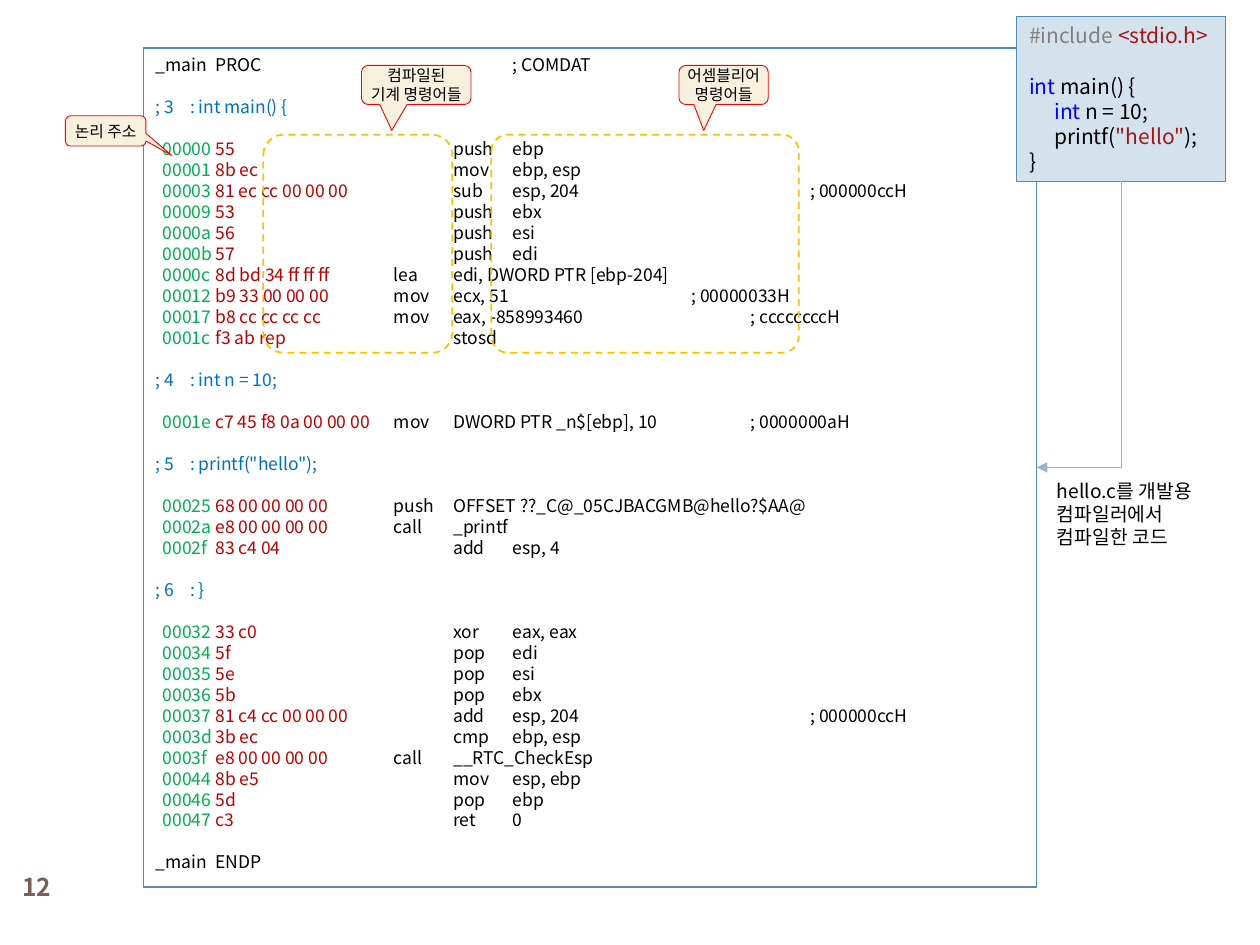
from lxml.etree import SubElement
from pptx import Presentation
from pptx.dml.color import RGBColor as RGB
from pptx.enum.dml import MSO_LINE as DASH
from pptx.enum.shapes import MSO_CONNECTOR as CONN, MSO_SHAPE as SHAPE
from pptx.enum.text import MSO_ANCHOR as ANCHOR, PP_ALIGN as ALIGN
from pptx.oxml.ns import qn
from pptx.util import Pt

FONT = "Noto Sans CJK KR"
COLORS = {
    "black": "000000", "number": "775F55", "border": "558BB8", "comment": "0070C0",
    "address": "00B050", "bytes": "C00000", "frame": "FFC000", "callout": "F7F0DE",
    "callout_line": "FF0000", "source": "D4E2ED", "directive": "808080",
    "string": "A31515", "keyword": "0000FF", "arrow": "94B6D2",
}
TAB = 34
ADDRESS_INDENT = 4
COMMENT_INDENT = 19.5

PROLOGUE = [
    ("00000", "55", 5, "push", "ebp"),
    ("00001", "8b ec", 5, "mov", "ebp, esp"),
    ("00003", "81 ec cc 00 00 00", 5, "sub", "esp, 204", 11, "; 000000ccH"),
    ("00009", "53", 5, "push", "ebx"),
    ("0000a", "56", 5, "push", "esi"),
    ("0000b", "57", 5, "push", "edi"),
    ("0000c", "8d bd 34 ff ff ff", 4, "lea", "edi, DWORD PTR [ebp-204]"),
    ("00012", "b9 33 00 00 00", 4, "mov", "ecx, 51", 9, "; 00000033H"),
    ("00017", "b8 cc cc cc cc", 4, "mov", "eax, -858993460", 10, "; ccccccccH"),
    ("0001c", "f3 ab rep", 5, "stosd"),
]
ASSIGN = [
    ("0001e", "c7 45 f8 0a 00 00 00", 4, "mov", "DWORD PTR _n$[ebp], 10", 10, "; 0000000aH"),
]
PRINT = [
    ("00025", "68 00 00 00 00", 4, "push", "OFFSET ??_C@_05CJBACGMB@hello?$AA@"),
    ("0002a", "e8 00 00 00 00", 4, "call", "_printf"),
    ("0002f", "83 c4 04", 5, "add", "esp, 4"),
]
EPILOGUE = [
    ("00032", "33 c0", 5, "xor", "eax, eax"),
    ("00034", "5f", 5, "pop", "edi"),
    ("00035", "5e", 5, "pop", "esi"),
    ("00036", "5b", 5, "pop", "ebx"),
    ("00037", "81 c4 cc 00 00 00", 5, "add", "esp, 204", 11, "; 000000ccH"),
    ("0003d", "3b ec", 5, "cmp", "ebp, esp"),
    ("0003f", "e8 00 00 00 00", 4, "call", "__RTC_CheckEsp"),
    ("00044", "8b e5", 5, "mov", "esp, ebp"),
    ("00046", "5d", 5, "pop", "ebp"),
    ("00047", "c3", 5, "ret", "0"),
]
SECTIONS = [
    ("3", "int main() {", PROLOGUE),
    ("4", "int n = 10;", ASSIGN),
    ("5", 'printf("hello");', PRINT),
    ("6", "}", EPILOGUE),
]


def color(name):
    return RGB.from_string(COLORS[name])


def add_box(slide, kind, box, line, width, fill=None, dash=None):
    shape = slide.shapes.add_shape(kind, *map(Pt, box))
    shape.shadow.inherit = False
    shape.line.color.rgb = color(line)
    shape.line.width = Pt(width)
    if dash:
        shape.line.dash_style = dash
    if fill:
        shape.fill.solid()
        shape.fill.fore_color.rgb = color(fill)
    else:
        shape.fill.background()
    return shape


def write_line(frame, parts, size, first=False, before=0, after=0, tabs=(),
               align=ALIGN.LEFT, bold=False):
    line = frame.paragraphs[0] if first else frame.add_paragraph()
    line.alignment = align
    line.line_spacing = Pt(size * 1.2)
    line.space_before, line.space_after = Pt(before), Pt(after)
    if tabs:
        stops = SubElement(line._p.get_or_add_pPr(), qn("a:tabLst"))
        for stop in tabs:
            SubElement(stops, qn("a:tab"), pos=str(Pt(stop)), algn="l")
    for text, tint in parts:
        run = line.add_run()
        run.text = text
        run.font.size, run.font.bold, run.font.name = Pt(size), bold, FONT
        run.font.color.rgb = color(tint)
        SubElement(run._r.get_or_add_rPr(), qn("a:ea"), typeface=FONT)


def add_instruction(frame, address, code, column, mnemonic, operands="",
                    note_column=None, note=""):
    columns = [1, column, column + 1] + ([note_column] if note else [])
    assembly = "\t".join(word for word in (mnemonic, operands, note) if word)
    write_line(frame, [("\t" + address + "\t", "address"), (code + "\t", "bytes"),
                       (assembly, "black")], 10,
               tabs=[ADDRESS_INDENT] + [TAB * c for c in columns])


def add_listing(slide, box):
    frame = add_box(slide, SHAPE.RECTANGLE, box, "border", 0.75).text_frame
    frame.word_wrap = True
    frame.vertical_anchor = ANCHOR.TOP
    write_line(frame, [("_main\tPROC\t; COMDAT", "black")], 10, first=True,
               tabs=[TAB, TAB * 6])
    for number, statement, instructions in SECTIONS:
        write_line(frame, [(f"; {number}\t: {statement}", "comment")], 10,
                   before=12, after=12, tabs=[COMMENT_INDENT])
        for instruction in instructions:
            add_instruction(frame, *instruction)
    write_line(frame, [("_main\tENDP", "black")], 10, before=12, tabs=[TAB])


def add_frame(slide, box, radius):
    frame = add_box(slide, SHAPE.ROUNDED_RECTANGLE, box, "frame", 1, dash=DASH.DASH)
    frame.adjustments[0] = radius


def add_callout(slide, box, lines, pointer):
    callout = add_box(slide, SHAPE.ROUNDED_RECTANGULAR_CALLOUT, box,
                      "callout_line", 0.5, "callout")
    callout.adjustments[0], callout.adjustments[1] = pointer
    frame = callout.text_frame
    frame.margin_left = frame.margin_right = frame.margin_top = frame.margin_bottom = 0
    frame.vertical_anchor = ANCHOR.MIDDLE
    for index, text in enumerate(lines):
        write_line(frame, [(text, "black")], 9, first=index == 0, align=ALIGN.CENTER)


def add_source(slide, box):
    frame = add_box(slide, SHAPE.RECTANGLE, box, "border", 0.75, "source").text_frame
    frame.word_wrap = False
    frame.vertical_anchor = ANCHOR.TOP
    write_line(frame, [("#include ", "directive"), ("<stdio.h>", "string")], 12, first=True)
    write_line(frame, [("int", "keyword"), (" main() {", "black")], 12, before=14.4)
    write_line(frame, [("\tint", "keyword"), (" n = 10;", "black")], 12, tabs=[14.4])
    write_line(frame, [("\tprintf(", "black"), ('"hello"', "string"), (");", "black")],
               12, tabs=[14.4])
    write_line(frame, [("}", "black")], 12)


def add_arrow(slide, box):
    left, top, width, height = box
    arrow = slide.shapes.add_connector(CONN.ELBOW, 0, 0, Pt(height), Pt(width))
    arrow.left = Pt(left + (width - height) / 2)
    arrow.top = Pt(top + (height - width) / 2)
    arrow.line.color.rgb = color("arrow")
    arrow.line.width = Pt(0.79)
    properties = arrow._element.spPr
    properties.find(qn("a:xfrm")).set("rot", str(90 * 60000))
    properties.find(qn("a:prstGeom")).set("prst", "bentConnector2")
    SubElement(properties.find(qn("a:ln")), qn("a:tailEnd"), type="triangle")
    SubElement(properties, qn("a:effectLst"))


def add_caption(slide, box, lines, size, tint="black", **style):
    frame = slide.shapes.add_textbox(*map(Pt, box)).text_frame
    frame.word_wrap = False
    frame.vertical_anchor = ANCHOR.MIDDLE
    for index, text in enumerate(lines):
        write_line(frame, [(text, tint)], size, first=index == 0, **style)


def build():
    deck = Presentation()
    deck.slide_width, deck.slide_height = Pt(720), Pt(540)
    slide = deck.slides.add_slide(deck.slide_layouts[6])
    add_caption(slide, (0, 491.8, 41.8, 30.2), ["12"], 14, "number",
                align=ALIGN.CENTER, bold=True)
    add_listing(slide, (82, 27.4, 510.5, 479.5))
    add_frame(slide, (150.5, 77, 108, 124.6), 0.106)
    add_frame(slide, (280.8, 77, 175.7, 124.6), 0.076)
    add_callout(slide, (206.6, 37.4, 62.6, 22.3), ["컴파일된", "기계 명령어들"], (-0.223, 1.165))
    add_callout(slide, (388, 37.4, 51, 22.3), ["어셈블리어", "명령어들"], (-0.223, 1.165))
    add_callout(slide, (37.4, 66.2, 46, 17.3), ["논리 주소"], (0.821, 0.81))
    add_source(slide, (581, 9.4, 119.5, 94.3))
    add_arrow(slide, (592.5, 103.7, 48.3, 163.4))
    add_caption(slide, (596.9, 270, 99.4, 47.5),
                ["hello.c를 개발용", "컴파일러에서", "컴파일한 코드"], 11)
    deck.save("out.pptx")


build()
